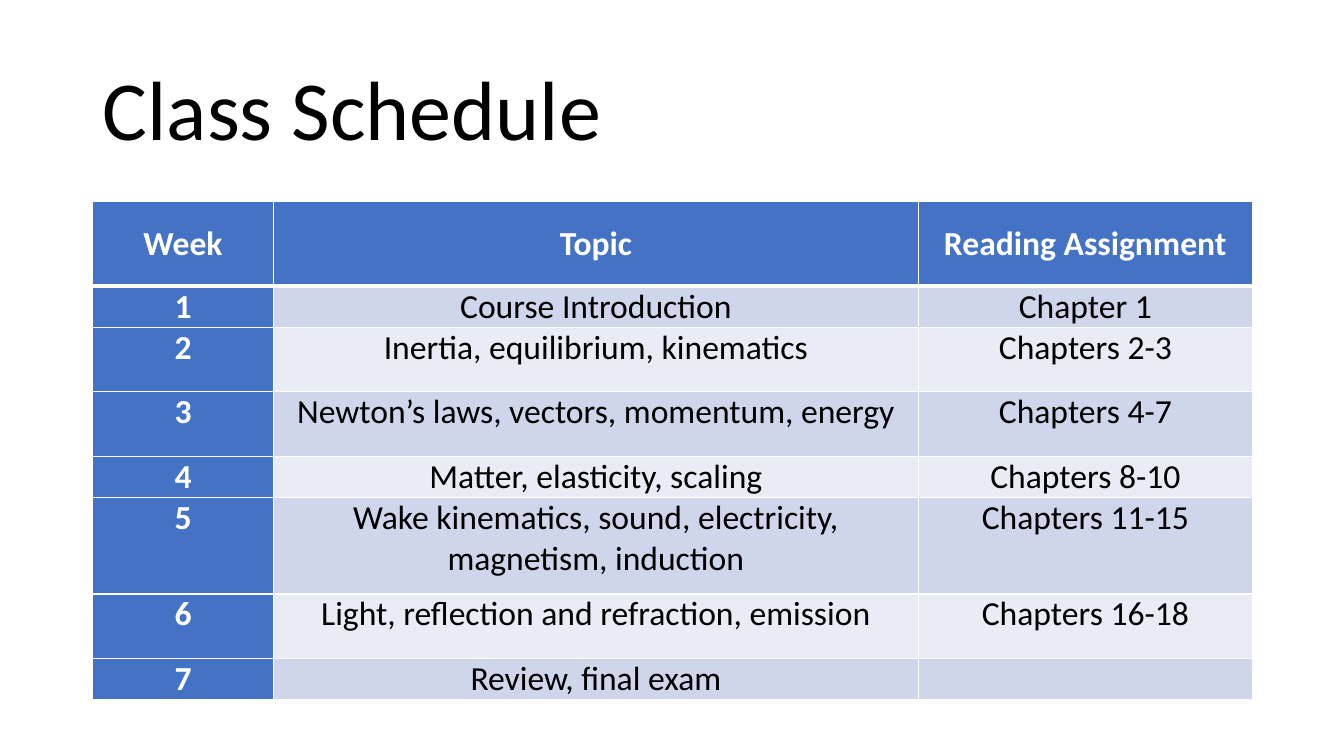
"""Build the class schedule slide with its weekly table."""
from lxml import etree
from pptx import Presentation
from pptx.dml.color import RGBColor
from pptx.enum.text import MSO_ANCHOR, PP_ALIGN
from pptx.oxml.ns import qn
from pptx.util import Inches, Pt

LEFT, CENTER = PP_ALIGN.LEFT, PP_ALIGN.CENTER
TOP, MIDDLE = MSO_ANCHOR.TOP, MSO_ANCHOR.MIDDLE
FONT = "Calibri"
COLORS = {"white": "FFFFFF", "black": "000000", "blue": "4472C4",
          "odd": "CFD5EA", "even": "E9EBF5"}
COLUMN_WIDTHS = [1.79, 6.4, 3.31]
ROW_HEIGHTS = [0.84, 0.35, 0.64, 0.64, 0.35, 0.96, 0.64, 0.35]
SCHEDULE = [
    ("Week", "Topic", "Reading Assignment"),
    ("1", "Course Introduction", "Chapter 1"),
    ("2", "Inertia, equilibrium, kinematics", "Chapters 2-3"),
    ("3", "Newton’s laws, vectors, momentum, energy", "Chapters 4-7"),
    ("4", "Matter, elasticity, scaling", "Chapters 8-10"),
    ("5", "Wake kinematics, sound, electricity, magnetism, induction",
     "Chapters 11-15"),
    ("6", "Light, reflection and refraction, emission", "Chapters 16-18"),
    ("7", "Review, final exam", ""),
]


def format_text(frame, size, color, bold, align):
    for para in frame.paragraphs:
        para.alignment = align
        for item in [para] + list(para.runs):
            item.font.name = FONT
            item.font.size = Pt(size)
            item.font.bold = bold
            item.font.color.rgb = RGBColor.from_string(COLORS[color])


def set_borders(cell, widths):
    properties = cell._tc.get_or_add_tcPr()
    for index, (side, width) in enumerate(widths.items()):
        line = etree.Element(qn(f"a:ln{side}"), w=str(Pt(width)))
        fill = etree.SubElement(line, qn("a:solidFill"))
        etree.SubElement(fill, qn("a:srgbClr"), val=COLORS["white"])
        properties.insert(index, line)


deck = Presentation()
deck.slide_width, deck.slide_height = Inches(13.33), Inches(7.5)
slide = deck.slides.add_slide(deck.slide_layouts[5])

title = slide.shapes.title
title.left, title.top = Inches(0.92), Inches(0.4)
title.width, title.height = Inches(11.5), Inches(1.45)
title.text_frame.text = "Class Schedule"
title.text_frame.vertical_anchor = MIDDLE
title.text_frame.paragraphs[0].line_spacing = 0.9
format_text(title.text_frame, 60, "black", False, LEFT)

table = slide.shapes.add_table(
    len(SCHEDULE), len(COLUMN_WIDTHS),
    Inches(0.92), Inches(2), Inches(11.5), Inches(4.91)).table
table.first_col = True
for column, width in zip(table.columns, COLUMN_WIDTHS):
    column.width = Inches(width)
for row, height in zip(table.rows, ROW_HEIGHTS):
    row.height = Inches(height)

for row_index, entries in enumerate(SCHEDULE):
    for column_index, entry in enumerate(entries):
        cell = table.cell(row_index, column_index)
        heading = row_index == 0 or column_index == 0
        band = "odd" if row_index % 2 else "even"
        cell.fill.solid()
        cell.fill.fore_color.rgb = RGBColor.from_string(
            COLORS["blue" if heading else band])
        cell.margin_left = cell.margin_right = Inches(0.07)
        cell.margin_top = cell.margin_bottom = 0
        cell.vertical_anchor = MIDDLE if row_index == 0 else TOP
        cell.text_frame.text = entry
        format_text(cell.text_frame, 24, "white" if heading else "black",
                    heading, CENTER)
        set_borders(cell, {"L": 1, "R": 1,
                           "T": 3 if row_index == 1 else 1,
                           "B": 3 if row_index == 0 else 1})

deck.save("out.pptx")
